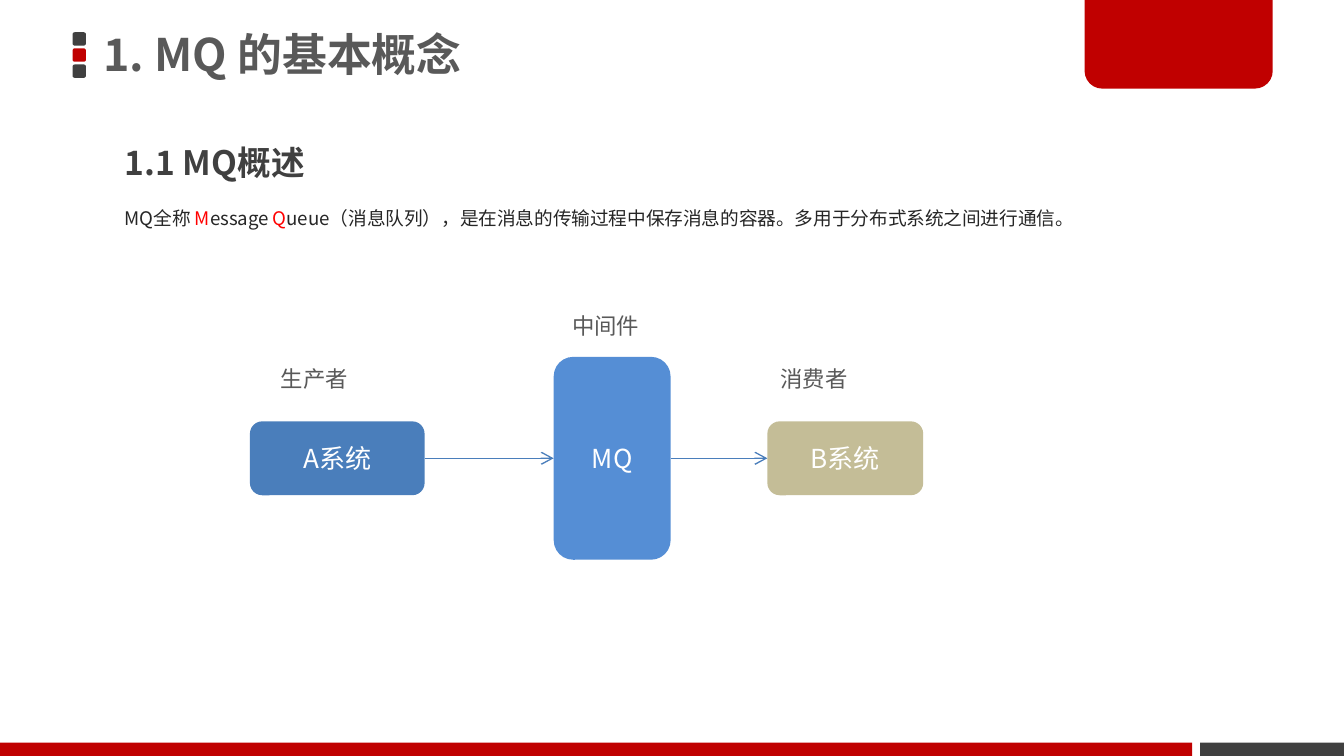
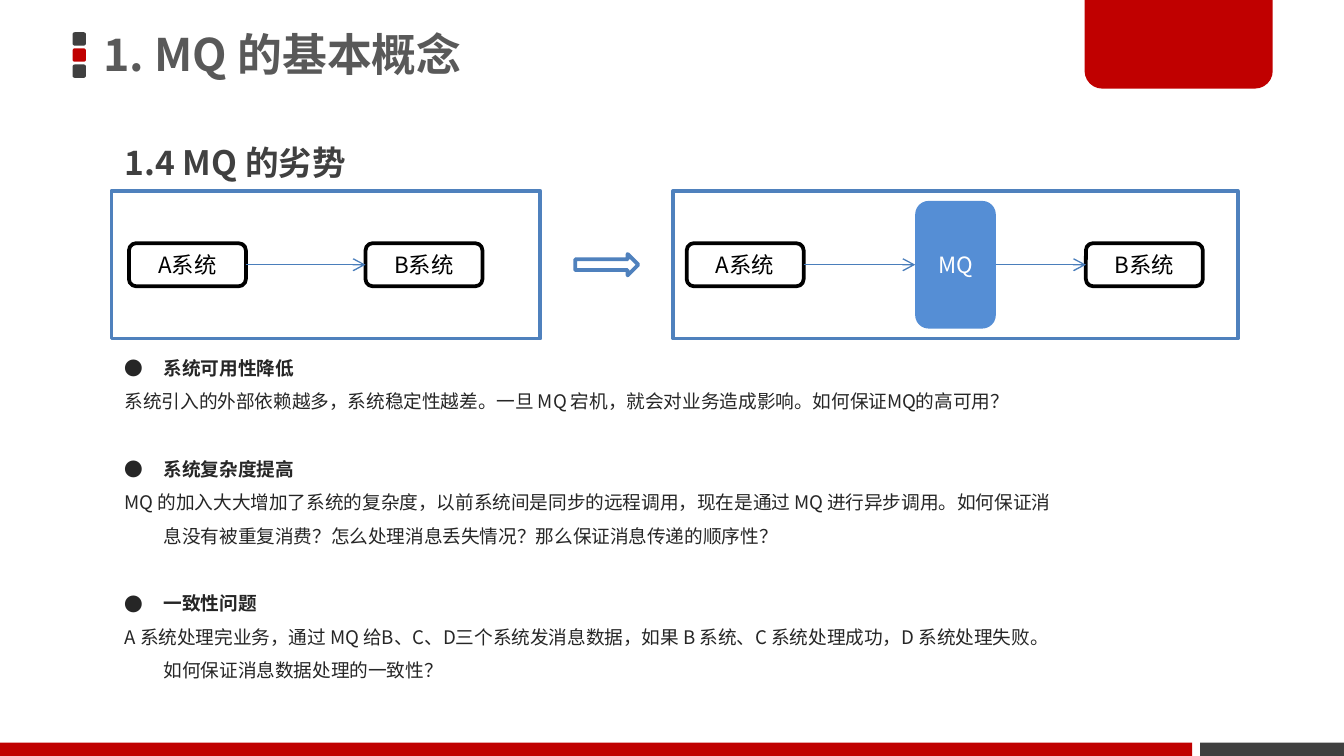
import pptx
import pptx.util
import pptx.dml.color
import pptx.enum.shapes
import pptx.enum.text
import pptx.oxml.ns
from lxml import etree

Inches, Pt = pptx.util.Inches, pptx.util.Pt
SHAPE = pptx.enum.shapes.MSO_SHAPE
ALIGN = pptx.enum.text.PP_ALIGN
ANCHOR = pptx.enum.text.MSO_ANCHOR
FIT = pptx.enum.text.MSO_AUTO_SIZE

WIDTH, HEIGHT = 10, 5.625
FONT = "Noto Sans CJK SC"
RED, DARK, GREY, INK = "C00000", "404040", "595959", "262626"
WHITE, BLACK, ACCENT = "FFFFFF", "000000", "FF0000"
BLUE, MID_BLUE, FRAME_BLUE, SAND = "4A7EBB", "558ED5", "4F81BD", "C4BD97"
CORNER = 0.167
TEXT_LEFT = 0.83

# Content
TITLE = "1. MQ 的基本概念"
OVERVIEW = {
    "heading": "1.1 MQ概述",
    "definition": [
        ("MQ全称 ", INK), ("M", ACCENT), ("essage ", INK), ("Q", ACCENT),
        ("ueue（消息队列），是在消息的传输过程中保存消息的容器。"
         "多用于分布式系统之间进行通信。", INK),
    ],
    # label, left, top, width
    "roles": [("生产者", 1.99, 2.67, 1.18), ("中间件", 4.16, 2.27, 0.8),
              ("消费者", 5.71, 2.67, 1.18)],
}
DRAWBACKS = {
    "heading": "1.4 MQ 的劣势",
    "points": [
        ("系统可用性降低",
         "系统引入的外部依赖越多，系统稳定性越差。一旦 MQ 宕机，就会对业务造成影响。"
         "如何保证MQ的高可用？"),
        ("系统复杂度提高",
         "MQ 的加入大大增加了系统的复杂度，以前系统间是同步的远程调用，现在是通过 MQ 进行异步调用。"
         "如何保证消息没有被重复消费？怎么处理消息丢失情况？那么保证消息传递的顺序性？"),
        ("一致性问题",
         "A 系统处理完业务，通过 MQ 给B、C、D三个系统发消息数据，如果 B 系统、C 系统处理成功，"
         "D 系统处理失败。如何保证消息数据处理的一致性？"),
    ],
}

# Flow nodes: text, left, width, height, look
LOOKS = {
    "producer": {"fill": BLUE, "ink": WHITE},
    "queue": {"fill": MID_BLUE, "ink": WHITE},
    "consumer": {"fill": SAND, "ink": WHITE},
    "outlined": {"fill": WHITE, "ink": BLACK, "outline": BLACK},
}
OVERVIEW_FLOW = [("A系统", 1.86, 1.3, 0.55, "producer"),
                 ("MQ", 4.12, 0.87, 1.51, "queue"),
                 ("B系统", 5.71, 1.16, 0.55, "consumer")]
DIRECT_FLOW = [("A系统", 0.96, 0.87, 0.32, "outlined"),
               ("B系统", 2.72, 0.87, 0.32, "outlined")]
QUEUED_FLOW = [("A系统", 5.11, 0.87, 0.32, "outlined"),
               ("MQ", 6.81, 0.6, 0.95, "queue"),
               ("B系统", 8.08, 0.87, 0.32, "outlined")]
PANEL_TOP, PANEL_HEIGHT = 1.42, 1.1
PANELS = [(0.83, 3.19), (5.01, 4.2)]  # left, width


def rgb(color):
    return pptx.dml.color.RGBColor.from_string(color)


def add_xml(parent, tag, **attributes):
    return etree.SubElement(parent, pptx.oxml.ns.qn(tag), **attributes)


def box(left, top, width, height):
    return [Inches(value) for value in (left, top, width, height)]


def add_run(paragraph, text, size, color, bold=False):
    run = paragraph.add_run()
    run.text = text
    for name, value in {"name": FONT, "size": Pt(size), "bold": bold}.items():
        setattr(run.font, name, value)
    run.font.color.rgb = rgb(color)
    add_xml(run.font._element, "a:ea", typeface=FONT)


def add_shape(slide, kind, place, fill, outline=None, adjustments=()):
    shape = slide.shapes.add_shape(kind, *box(*place))
    shape.shadow.inherit = False
    shape.fill.solid()
    shape.fill.fore_color.rgb = rgb(fill)
    if outline:
        shape.line.color.rgb = rgb(outline)
        shape.line.width = Pt(2)
    else:
        shape.line.fill.background()
    for index, value in enumerate(adjustments):
        shape.adjustments[index] = value
    return shape


def add_text_frame(slide, *place):
    frame = slide.shapes.add_textbox(*box(*place)).text_frame
    frame.word_wrap = True
    frame.auto_size = FIT.SHAPE_TO_FIT_TEXT
    return frame


def add_heading(slide, text, width):
    paragraph = add_text_frame(slide, TEXT_LEFT, 0.86, width, 0.55).paragraphs[0]
    paragraph.line_spacing = 1.5
    add_run(paragraph, text, 18, DARK, True)


def add_arrow(slide, source, target):
    """Join the right side of source to the left side of target."""
    arrow = slide.shapes.add_connector(
        pptx.enum.shapes.MSO_CONNECTOR.STRAIGHT, 0, 0, 0, 0)
    arrow.begin_connect(source, 3)
    arrow.end_connect(target, 1)
    arrow.line.color.rgb = rgb(BLUE)
    arrow.line.width = Pt(0.75)
    add_xml(arrow.line._get_or_add_ln(), "a:tailEnd", type="arrow")
    add_xml(arrow._element.spPr, "a:effectLst")


def add_flow(slide, nodes, middle, size):
    """Centre the nodes on one height and link each to the next."""
    shapes = []
    for text, left, width, height, look_name in nodes:
        look = LOOKS[look_name]
        node = add_shape(slide, SHAPE.ROUNDED_RECTANGLE,
                         (left, middle - height / 2, width, height),
                         look["fill"], look.get("outline"), [CORNER])
        node.text_frame.vertical_anchor = ANCHOR.MIDDLE
        paragraph = node.text_frame.paragraphs[0]
        paragraph.alignment = ALIGN.CENTER
        add_run(paragraph, text, size, look["ink"])
        shapes.append(node)
    for source, target in zip(shapes, shapes[1:]):
        add_arrow(slide, source, target)


def add_base_slide(deck):
    """Add a slide with the shared title, marker, corner tab and footer."""
    slide = deck.slides.add_slide(deck.slide_layouts[5])
    for row, color in enumerate((DARK, RED, DARK)):
        add_shape(slide, SHAPE.ROUNDED_RECTANGLE,
                  (0.54, 0.24 + 0.12 * row, 0.1, 0.1), color, None, [CORNER])
    add_shape(slide, SHAPE.ROUND_2_SAME_RECTANGLE, (8.07, 0, 1.4, 0.66), RED,
              None, [0, 0.2])
    for left, width, color in ((0, 8.87, RED), (8.93, 1.07, DARK)):
        add_shape(slide, SHAPE.RECTANGLE, (left, HEIGHT - 0.1, width, 0.1), color)

    title = slide.shapes.title
    title.left, title.top, title.width, title.height = box(0.69, -0.02, 5.89, 0.89)
    formats = {"vertical_anchor": ANCHOR.MIDDLE, "word_wrap": True,
               "auto_size": FIT.NONE,
               "margin_left": Inches(0.08), "margin_right": Inches(0.08),
               "margin_top": Inches(0.04), "margin_bottom": Inches(0.04)}
    for name, value in formats.items():
        setattr(title.text_frame, name, value)
    paragraph = title.text_frame.paragraphs[0]
    paragraph.alignment = ALIGN.LEFT
    paragraph.line_spacing = 0.9
    add_run(paragraph, TITLE, 24, GREY, True)
    return slide


def add_points(slide, points):
    frame = add_text_frame(slide, TEXT_LEFT, 2.52, 7.17, 2.61)
    lines = [(text, is_head) for point in points
             for text, is_head in zip(point, (True, False))]
    for index, (text, is_head) in enumerate(lines):
        paragraph = frame.add_paragraph() if index else frame.paragraphs[0]
        paragraph.line_spacing = 1.5
        if is_head and index:
            paragraph.space_before = Pt(18)
        properties = paragraph._p.get_or_add_pPr()
        properties.set("marL", str(Inches(0.29)))
        properties.set("indent", str(-Inches(0.29)))
        if is_head:
            add_xml(add_xml(properties, "a:buClr"), "a:srgbClr", val=INK)
            add_xml(properties, "a:buFont", typeface=FONT)
            add_xml(properties, "a:buChar", char="●")
        add_run(paragraph, text, 10, INK, is_head)


def build_overview(deck):
    slide = add_base_slide(deck)
    add_heading(slide, OVERVIEW["heading"], 7.24)
    definition = add_text_frame(slide, TEXT_LEFT, 1.41, 7.24, 0.6).paragraphs[0]
    definition.line_spacing = 1.5
    for text, color in OVERVIEW["definition"]:
        add_run(definition, text, 10, color)
    add_flow(slide, OVERVIEW_FLOW, 3.41, 14)
    for label, left, top, width in OVERVIEW["roles"]:
        role = add_text_frame(slide, left, top, width, 0.3)
        add_run(role.paragraphs[0], label, 12, GREY)


def build_drawbacks(deck):
    slide = add_base_slide(deck)
    for left, width in PANELS:
        add_shape(slide, SHAPE.RECTANGLE, (left, PANEL_TOP, width, PANEL_HEIGHT),
                  WHITE, FRAME_BLUE)
    add_heading(slide, DRAWBACKS["heading"], 2.47)
    add_points(slide, DRAWBACKS["points"])
    middle = PANEL_TOP + PANEL_HEIGHT / 2
    for flow in (DIRECT_FLOW, QUEUED_FLOW):
        add_flow(slide, flow, middle, 12)
    add_shape(slide, SHAPE.RIGHT_ARROW, (4.28, middle - 0.08, 0.47, 0.16),
              WHITE, FRAME_BLUE, [0.5, 0.5])


def main():
    deck = pptx.Presentation()
    deck.slide_width, deck.slide_height = Inches(WIDTH), Inches(HEIGHT)
    build_overview(deck)
    build_drawbacks(deck)
    deck.save("out.pptx")


if __name__ == "__main__":
    main()
